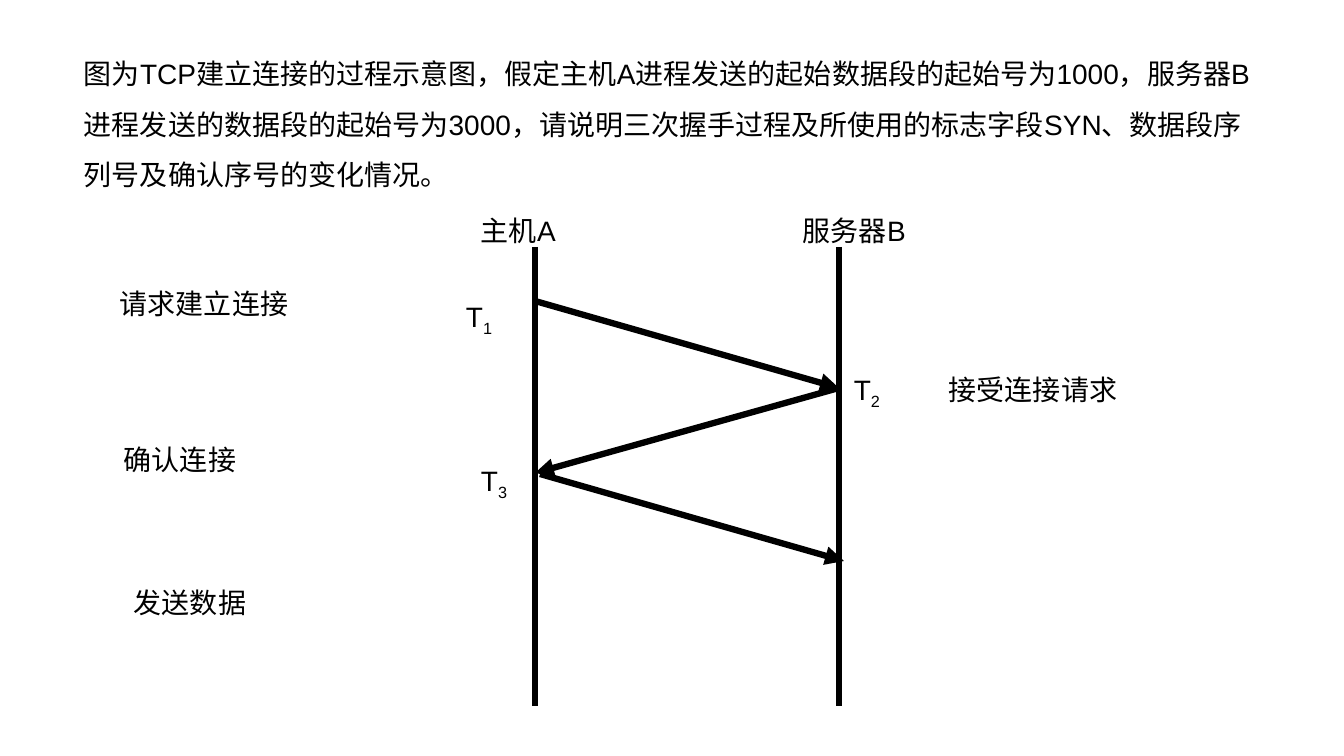
from lxml import etree
from pptx import Presentation
from pptx import util as u
from pptx.dml.color import RGBColor
from pptx.enum import shapes, text
from pptx.oxml.ns import qn

BLACK = RGBColor(0, 0, 0)
PX = 914400 / 100.8


def px(*lengths):
    """Turn pixel lengths into EMU."""
    return [round(length * PX) for length in lengths]


def add_label(left, top, width, height, wording, subscript=""):
    box = slide.shapes.add_textbox(*px(left, top, width, height))
    frame = box.text_frame
    frame.word_wrap = True
    frame.auto_size = text.MSO_AUTO_SIZE.SHAPE_TO_FIT_TEXT
    paragraph = frame.paragraphs[0]
    paragraph.line_spacing = 1.5
    paragraph.font.name = "Arial"
    paragraph.font.size = u.Pt(20)
    paragraph.font.color.rgb = BLACK
    paragraph.add_run().text = wording
    if subscript:
        index = paragraph.add_run()
        index.text = subscript
        index._r.get_or_add_rPr().set("baseline", "-25000")


deck = Presentation()
deck.slide_width, deck.slide_height = px(1344, 756)
slide = deck.slides.add_slide(deck.slide_layouts[6])

add_label(74, 35, 1198, 157,
          "图为TCP建立连接的过程示意图，假定主机A进程发送的起始数据段的起始号为1000，"
          "服务器B进程发送的数据段的起始号为3000，请说明三次握手过程及所使用的标志字段SYN、"
          "数据段序列号及确认序号的变化情况。")

# Two timelines and the three handshake messages between them
HOST_X, SERVER_X = 535, 839
sequence_lines = [
    (HOST_X, 247, HOST_X, 706, False),
    (SERVER_X, 247, SERVER_X, 706, False),
    (HOST_X, 301, SERVER_X, 388, True),
    (SERVER_X, 388, HOST_X, 473, True),
    (HOST_X + 5, 474, SERVER_X + 5, 561, True),
]
for *ends, is_message in sequence_lines:
    connector = slide.shapes.add_connector(shapes.MSO_CONNECTOR.STRAIGHT, *px(*ends))
    connector.line.color.rgb = BLACK
    connector.line.width = u.Pt(4.5)
    properties = connector._element.spPr
    if is_message:
        etree.SubElement(properties.find(qn("a:ln")), qn("a:tailEnd"), type="triangle")
    etree.SubElement(properties, qn("a:effectLst"))

for left, party in [(471, "主机A"), (793, "服务器B")]:
    add_label(left, 192, 129, 55, party)

for left, top, moment in [(456, 275, "1"), (844, 348, "2"), (471, 439, "3")]:
    add_label(left, top, 80, 55, "T", moment)

steps = [
    (110, 265, "请求建立连接"),
    (939, 351, "接受连接请求"),
    (114, 421, "确认连接"),
    (124, 564, "发送数据"),
]
for left, top, step in steps:
    add_label(left, top, 217, 55, step)

deck.save("out.pptx")
